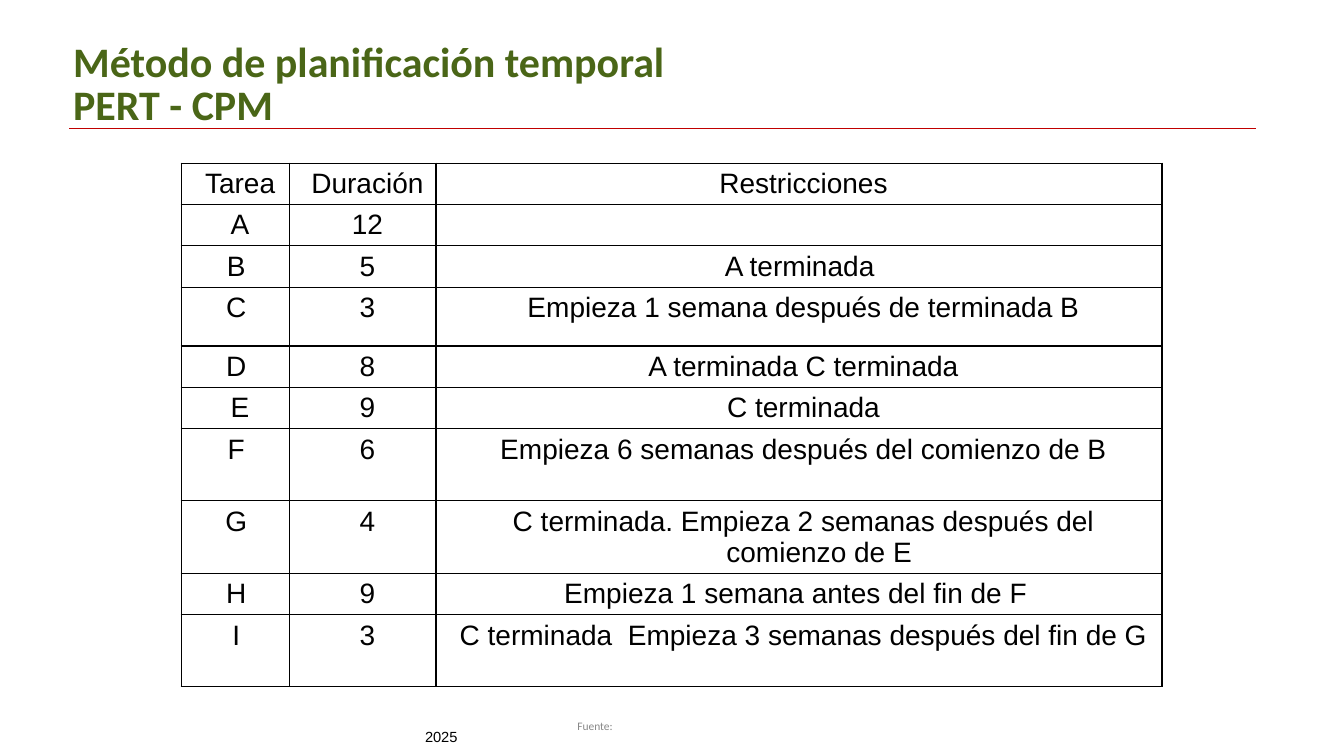
import pptx
import pptx.dml.color
import pptx.enum.shapes
import pptx.enum.text
import pptx.oxml
import pptx.oxml.ns
import pptx.util

Pt = pptx.util.Pt
COLORS = {"title": "4A6617", "rule": "C00000", "text": "000000", "source": "888888"}

COLUMN_WIDTHS = [77.5, 104.5, 518.5]
ROW_HEIGHT, MEDIUM_ROW, TALL_ROW = 29.5, 42, 51.5
# Trailing spaces are part of the centred labels.
TASKS = [
    ("Tarea ", "Duración", "Restricciones", ROW_HEIGHT),
    ("A", "12", "", ROW_HEIGHT),
    ("B ", "5", "A terminada ", ROW_HEIGHT),
    ("C ", "3", "Empieza 1 semana después de terminada B", MEDIUM_ROW),
    ("D ", "8", "A terminada C terminada", ROW_HEIGHT),
    ("E", "9", "C terminada", ROW_HEIGHT),
    ("F ", "6", "Empieza 6 semanas después del comienzo de B", TALL_ROW),
    ("G ", "4", "C terminada. Empieza 2 semanas después del comienzo de E", TALL_ROW),
    ("H ", "9", "Empieza 1 semana antes del fin de F  ", ROW_HEIGHT),
    ("I ", "3", "C terminada  Empieza 3 semanas después del fin de G ", TALL_ROW),
]


def rgb(name):
    return pptx.dml.color.RGBColor.from_string(COLORS[name])


def format_runs(paragraph, size, font, color, bold=False):
    for run in paragraph.runs:
        run.font.size = Pt(size)
        run.font.name = font
        run.font.bold = bold
        run.font.color.rgb = rgb(color)


def set_margins(target, horizontal, vertical):
    target.margin_left = target.margin_right = Pt(horizontal)
    target.margin_top = target.margin_bottom = Pt(vertical)


def add_title(slide, left, top, width, height):
    """Fill the title placeholder and draw the rule beneath it."""
    title = slide.shapes.title
    title.left, title.top, title.width, title.height = map(Pt, (left, top, width, height))
    frame = title.text_frame
    frame.text = "Método de planificación temporal\vPERT - CPM"
    frame.auto_size = pptx.enum.text.MSO_AUTO_SIZE.NONE
    frame.word_wrap = True
    frame.vertical_anchor = pptx.enum.text.MSO_ANCHOR.MIDDLE
    set_margins(frame, 7.2, 3.6)
    paragraph = frame.paragraphs[0]
    paragraph.alignment = pptx.enum.text.PP_ALIGN.LEFT
    paragraph.line_spacing = 0.85
    paragraph.space_before = Pt(0)
    format_runs(paragraph, 30, "Calibri", "title", bold=True)

    rule_left, rule_top = left + 4.5, top + 75.5
    rule = slide.shapes.add_connector(
        pptx.enum.shapes.MSO_CONNECTOR.STRAIGHT,
        Pt(rule_left), Pt(rule_top), Pt(rule_left + 848), Pt(rule_top))
    rule.line.color.rgb = rgb("rule")
    rule.line.width = Pt(0.75)
    rule._element.spPr.append(pptx.oxml.parse_xml(
        f'<a:effectLst {pptx.oxml.ns.nsdecls("a")}/>'))


def add_borders(cell):
    properties = cell._tc.get_or_add_tcPr()
    for position, side in enumerate(("lnL", "lnR", "lnT", "lnB")):
        properties.insert(position, pptx.oxml.parse_xml(
            f'<a:{side} {pptx.oxml.ns.nsdecls("a")} w="{Pt(1)}"><a:solidFill>'
            f'<a:srgbClr val="{COLORS["text"]}"/></a:solidFill></a:{side}>'))


def format_cell(cell, text):
    cell.text = text
    cell.fill.background()
    set_margins(cell, 7.9, 3.6)
    add_borders(cell)
    paragraph = cell.text_frame.paragraphs[0]
    paragraph.alignment = pptx.enum.text.PP_ALIGN.CENTER
    hanging = paragraph._p.get_or_add_pPr()
    hanging.set("marL", str(Pt(28.8)))
    hanging.set("indent", str(Pt(-22.3)))
    format_runs(paragraph, 20, "Arial", "text")


def add_task_table(slide, left, top):
    height = sum(task[-1] for task in TASKS)
    table = slide.shapes.add_table(
        len(TASKS), len(COLUMN_WIDTHS),
        Pt(left), Pt(top), Pt(sum(COLUMN_WIDTHS)), Pt(height)).table
    table.first_row = table.horz_banding = False
    for column, width in zip(table.columns, COLUMN_WIDTHS):
        column.width = Pt(width)
    for row, (*texts, row_height) in zip(table.rows, TASKS):
        row.height = Pt(row_height)
        for cell, text in zip(row.cells, texts):
            format_cell(cell, text)


def add_footer_text(slide, text, box, margins, size, font, color):
    frame = slide.shapes.add_textbox(*map(Pt, box)).text_frame
    frame.text = text
    frame.word_wrap = True
    set_margins(frame, *margins)
    format_runs(frame.paragraphs[0], size, font, color)


def add_footer(slide, left, top):
    add_footer_text(slide, "2025", (left, top + 5.7, 65, 20), (7.2, 3.6),
                    10.5, "Arial", "text")
    add_footer_text(slide, "Fuente:", (left + 111, top, 52, 15), (5, 2.9),
                    8.2, "Calibri", "source")


def main():
    presentation = pptx.Presentation()
    presentation.slide_width, presentation.slide_height = Pt(960), Pt(540)
    slide = presentation.slides.add_slide(presentation.slide_layouts.get_by_name("Title Only"))
    add_title(slide, 45, 16.5, 810, 89.5)
    add_task_table(slide, 129.5, 116.5)
    add_footer(slide, 296.5, 510.5)
    presentation.save("out.pptx")


if __name__ == "__main__":
    main()
